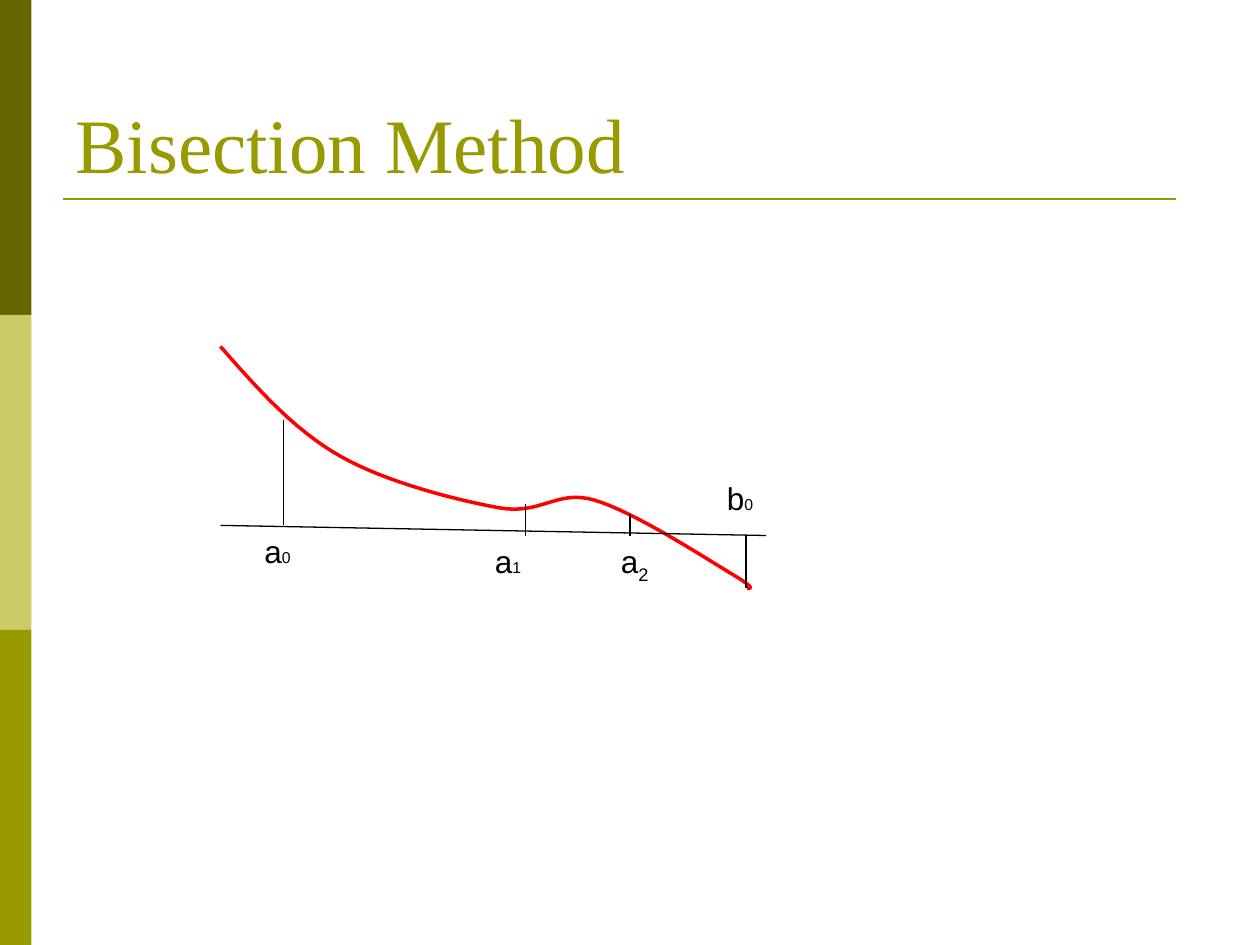
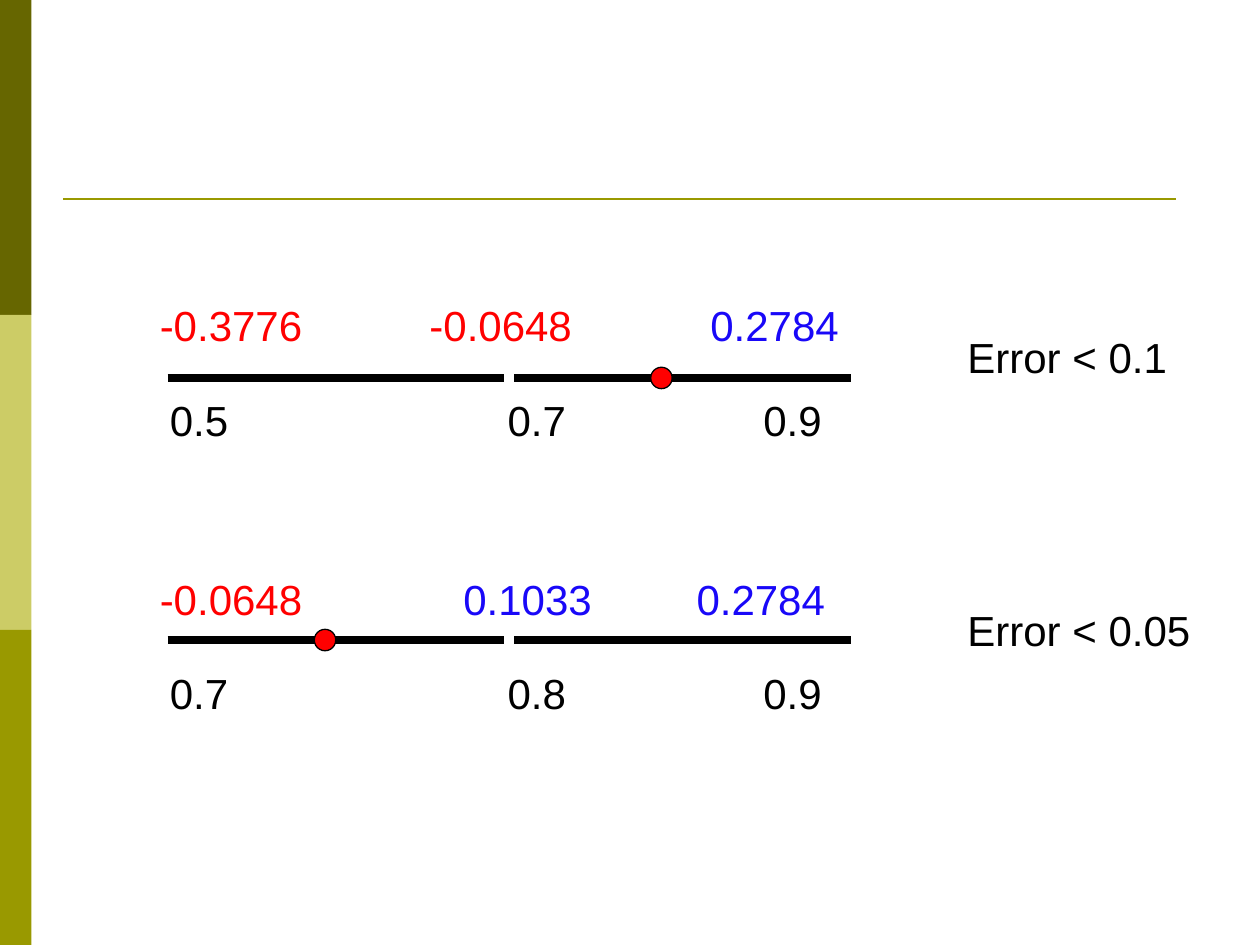
from pptx import Presentation
from pptx.dml.color import RGBColor
from pptx.enum.shapes import MSO_CONNECTOR, MSO_SHAPE
from pptx.enum.text import MSO_ANCHOR, MSO_AUTO_SIZE, PP_ALIGN
from pptx.oxml.ns import qn
from pptx.util import Inches, Pt
from lxml import etree

STRAIGHT = MSO_CONNECTOR.STRAIGHT
RECTANGLE, OVAL = MSO_SHAPE.RECTANGLE, MSO_SHAPE.OVAL

DARK_OLIVE = RGBColor(0x66, 0x66, 0x00)
PALE_OLIVE = RGBColor(0xCC, 0xCC, 0x66)
OLIVE = RGBColor(0x99, 0x99, 0x00)
BLACK = RGBColor(0x00, 0x00, 0x00)
RED = RGBColor(0xFF, 0x00, 0x00)
BLUE = RGBColor(0x19, 0x08, 0xF8)
TITLE_FONT, BODY_FONT = "Times New Roman", "Arial"

# Content: the curve and its bisection points
TITLE = "Bisection Method"
CURVE_START = (1.75, 2.75)
CURVE_BEZIERS = [  # two control points and an end point each
    ((2.04, 3.08), (2.33, 3.41), (2.7, 3.62)),
    ((3.07, 3.83), (3.63, 3.97), (3.96, 4.03)),
    ((4.3, 4.09), (4.42, 3.88), (4.72, 3.97)),
    ((5.03, 4.06), (5.6, 4.43), (5.8, 4.55)),
    ((6, 4.67), (5.96, 4.67), (5.93, 4.67)),
]
CURVE_STEPS = 16
AXIS = (1.75, 4.17, 6.08, 4.25)
ORDINATES = [(2.25, 3.33, 4.17), (5.92, 4.25, 4.67), (4.17, 4, 4.25), (5, 4.08, 4.25)]
POINT_LABELS = [  # letter, index, true subscript, left, top, width
    ("a", "0", False, 2, 4.17, 0.75),
    ("b", "0", False, 5.67, 3.75, 0.75),
    ("a", "1", False, 3.83, 4.25, 0.75),
    ("a", "2", True, 4.83, 4.25, 0.5),
]

# Content: the two bisection steps
STEPS = [
    {"top": 2.33, "line_y": 3, "root_x": 5.25, "error": "Error < 0.1",
     "values": [("-0.3776", RED), ("-0.0648", RED), ("0.2784", BLUE)],
     "value_tabs": (2.14, 4.37), "ends": ("0.5", "0.7", "0.9")},
    {"top": 4.5, "line_y": 5.08, "root_x": 2.58, "error": "Error < 0.05",
     "values": [("-0.0648", RED), ("0.1033", BLUE), ("0.2784", BLUE)],
     "value_tabs": (2.41, 4.26), "ends": ("0.7", "0.8", "0.9")},
]
END_TABS = (2.68, 4.71)
HALF_STARTS, HALF_WIDTH = (1.33, 4.08), 2.67
ROOT_SIZE = 0.17


def add_line(slide, x1, y1, x2, y2, color, width):
    line = slide.shapes.add_connector(
        STRAIGHT, Inches(x1), Inches(y1), Inches(x2), Inches(y2))
    line.line.color.rgb = color
    line.line.width = Pt(width)
    etree.SubElement(line._element.spPr, qn("a:effectLst"))


def add_filled(slide, preset, left, top, width, height, fill):
    shape = slide.shapes.add_shape(
        preset, Inches(left), Inches(top), Inches(width), Inches(height))
    shape.shadow.inherit = False
    shape.fill.solid()
    shape.fill.fore_color.rgb = fill
    shape.line.fill.background()
    return shape


def add_run(paragraph, text, size, color=BLACK, font=BODY_FONT):
    run = paragraph.add_run()
    run.text = text
    run.font.name = font
    run.font.size = Pt(size)
    run.font.color.rgb = color
    return run


def add_text(slide, left, top, width, height):
    frame = slide.shapes.add_textbox(
        Inches(left), Inches(top), Inches(width), Inches(height)).text_frame
    frame.word_wrap = True
    frame.auto_size = MSO_AUTO_SIZE.SHAPE_TO_FIT_TEXT
    return frame.paragraphs[0]


def add_tabbed(slide, left, top, width, entries, tabs):
    paragraph = add_text(slide, left, top, width, 0.5)
    tab_list = etree.SubElement(paragraph._p.get_or_add_pPr(), qn("a:tabLst"))
    for tab in tabs:
        etree.SubElement(tab_list, qn("a:tab"), pos=str(Inches(tab)), algn="l")
    for i, (text, color) in enumerate(entries):
        add_run(paragraph, "\t" + text if i else text, 24, color)


def add_base_slide(prs, layout_index):
    slide = prs.slides.add_slide(prs.slide_layouts[layout_index])
    for i, color in enumerate((DARK_OLIVE, PALE_OLIVE, OLIVE)):
        add_filled(slide, RECTANGLE, 0, 2.5 * i, 0.25, 2.5, color)
    add_line(slide, 0.5, 1.58, 9.33, 1.58, OLIVE, 1.5)
    return slide


def set_title(slide, text):
    title = slide.shapes.title
    title.left, title.top = Inches(0.5), Inches(0.3)
    title.width, title.height = Inches(9), Inches(1.25)
    frame = title.text_frame
    frame.auto_size = MSO_AUTO_SIZE.NONE
    frame.vertical_anchor = MSO_ANCHOR.BOTTOM
    frame.paragraphs[0].alignment = PP_ALIGN.LEFT
    add_run(frame.paragraphs[0], text, 44, OLIVE, TITLE_FONT)


def curve_points():
    start = CURVE_START
    for c1, c2, end in CURVE_BEZIERS:
        for step in range(1, CURVE_STEPS + 1):
            t = step / CURVE_STEPS
            u = 1 - t
            yield tuple(
                Inches(u**3 * a + 3 * u * u * t * b + 3 * u * t * t * c + t**3 * d)
                for a, b, c, d in zip(start, c1, c2, end))
        start = end


def build_method_slide(prs):
    slide = add_base_slide(prs, 5)
    set_title(slide, TITLE)

    # Function curve
    builder = slide.shapes.build_freeform(*(Inches(v) for v in CURVE_START))
    builder.add_line_segments(curve_points(), close=False)
    curve = builder.convert_to_shape()
    curve.shadow.inherit = False
    curve.fill.background()
    curve.line.color.rgb = RED
    curve.line.width = Pt(2)

    # Axis, ordinates and point labels
    add_line(slide, *AXIS, BLACK, 0.75)
    for x, top, bottom in ORDINATES:
        add_line(slide, x, top, x, bottom, BLACK, 0.75)
    for letter, index, subscript, left, top, width in POINT_LABELS:
        label = add_text(slide, left, top, width, 0.44 if subscript else 0.4)
        add_run(label, letter, 18)
        index_run = add_run(label, index, 18 if subscript else 9)
        if subscript:
            index_run._r.get_or_add_rPr().set("baseline", "-25000")


def build_steps_slide(prs):
    slide = add_base_slide(prs, 6)
    for step in STEPS:
        top, line_y = step["top"], step["line_y"]
        ends = [(end, BLACK) for end in step["ends"]]
        add_tabbed(slide, 1.25, top + 0.75, 5.58, ends, END_TABS)
        add_tabbed(slide, 1.17, top, 6, step["values"], step["value_tabs"])
        add_run(add_text(slide, 7.58, top + 0.25, 2.17, 0.5), step["error"], 24)

        # Interval halves and the root between them
        for start in HALF_STARTS:
            add_line(slide, start, line_y, start + HALF_WIDTH, line_y, BLACK, 4.5)
        root = add_filled(slide, OVAL, step["root_x"] - ROOT_SIZE / 2,
                          line_y - ROOT_SIZE / 2, ROOT_SIZE, ROOT_SIZE, RED)
        root.line.color.rgb = BLACK
        root.line.width = Pt(0.75)


def main():
    prs = Presentation()
    prs.slide_width, prs.slide_height = Inches(10), Inches(7.5)
    build_method_slide(prs)
    build_steps_slide(prs)
    prs.save("out.pptx")


if __name__ == "__main__":
    main()
